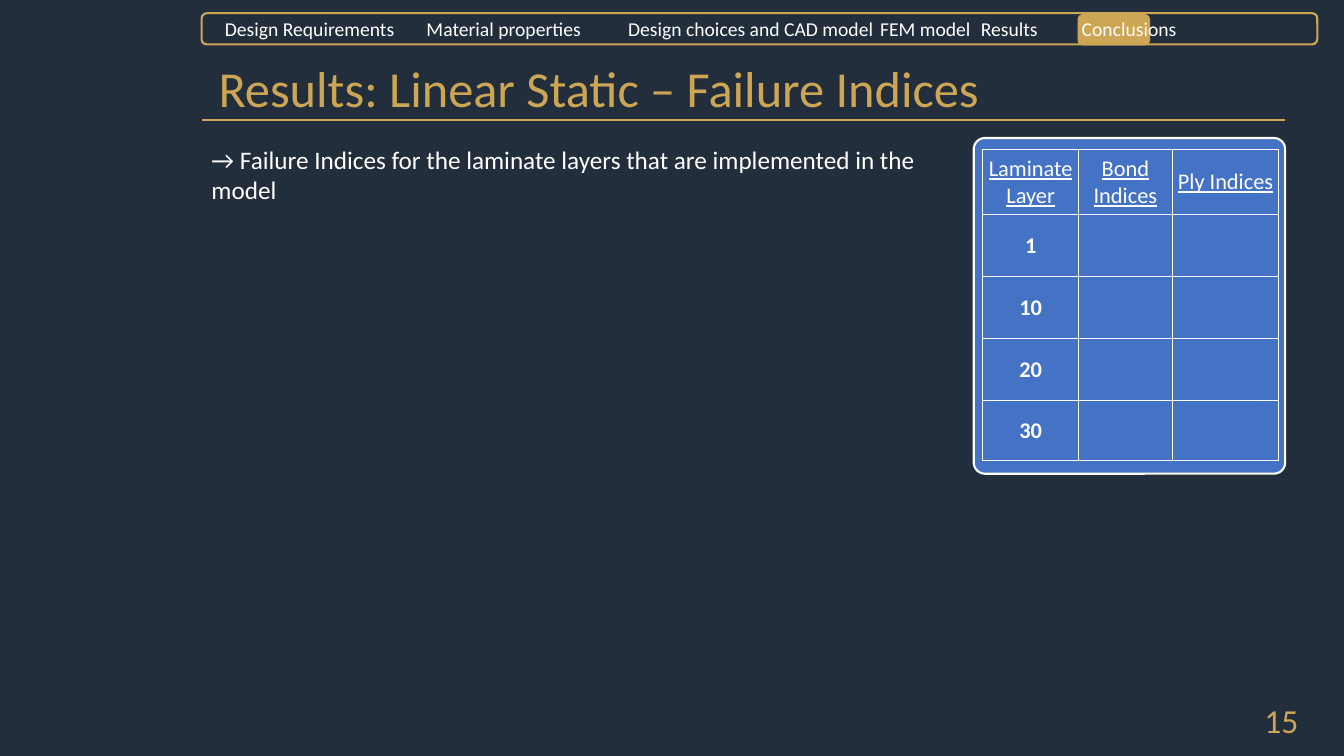
from lxml.etree import SubElement
from pptx import Presentation
from pptx.dml.color import RGBColor
from pptx.enum.shapes import MSO_CONNECTOR, MSO_SHAPE
from pptx.enum.text import MSO_ANCHOR, PP_ALIGN
from pptx.oxml.ns import qn
from pptx.util import Pt

NAVY, GOLD, BLUE, WHITE = "222E3C", "CDA655", "4472C4", "FFFFFF"

SECTIONS = ["Design Requirements", "Material properties",
            "Design choices and CAD model", "FEM model", "Results", "Conclusions"]
SECTION_TABS = [155.7, 300.7, 510, 612.9, 691.4]

HEADERS = ["Laminate Layer", "Bond Indices", "Ply Indices"]
LAYERS = ["1", "10", "20", "30"]
COLUMN_WIDTHS = [68.4, 66.9, 76.2]
ROW_HEIGHTS = [46.5, 44.3, 44.3, 44.3, 42.9]


def color(hex_string):
    return RGBColor.from_string(hex_string)


class SlideBuilder:
    font_name = "Calibri"

    def __init__(self, slide):
        self.slide = slide
        background = slide.background.fill
        background.solid()
        background.fore_color.rgb = color(NAVY)

    def set_text(self, frame, text, size, text_color, align=PP_ALIGN.LEFT,
                 bold=False, underline=False):
        frame.text = text
        paragraph = frame.paragraphs[0]
        paragraph.alignment = align
        for run in paragraph.runs:
            run.font.name = self.font_name
            run.font.size = Pt(size)
            run.font.color.rgb = color(text_color)
            run.font.bold = bold
            run.font.underline = underline

    def text(self, box, text, size, text_color, align=PP_ALIGN.LEFT):
        frame = self.slide.shapes.add_textbox(*map(Pt, box)).text_frame
        frame.word_wrap = True
        self.set_text(frame, text, size, text_color, align)

    def panel(self, box, fill=None, outline=None, corner=0.1667):
        """Add a rounded rectangle, hollow or borderless where no colour is given."""
        panel = self.slide.shapes.add_shape(MSO_SHAPE.ROUNDED_RECTANGLE, *map(Pt, box))
        panel.shadow.inherit = False
        panel.adjustments[0] = corner
        if fill:
            panel.fill.solid()
            panel.fill.fore_color.rgb = color(fill)
        else:
            panel.fill.background()
        if outline:
            panel.line.color.rgb = color(outline)
            panel.line.width = Pt(1.5)
        else:
            panel.line.fill.background()
        return panel

    def rule(self, left, right, y, line_color):
        rule = self.slide.shapes.add_connector(
            MSO_CONNECTOR.STRAIGHT, Pt(left), Pt(y), Pt(right), Pt(y))
        rule.line.color.rgb = color(line_color)
        rule.line.width = Pt(1.5)
        SubElement(rule._element.spPr, qn("a:effectLst"))

    def navigation(self, box, sections, tab_positions):
        frame = self.panel(box, outline=GOLD).text_frame
        frame.word_wrap = True
        frame.vertical_anchor = MSO_ANCHOR.MIDDLE
        frame.margin_left, frame.margin_right = Pt(15.6), Pt(0)
        tab_list = SubElement(frame.paragraphs[0]._p.get_or_add_pPr(), qn("a:tabLst"))
        for position in tab_positions:
            SubElement(tab_list, qn("a:tab"), pos=str(Pt(position)), algn="l")
        self.set_text(frame, "\t".join(sections), 14, WHITE)

    def border(self, cell, line_color):
        properties = cell._tc.get_or_add_tcPr()
        for side in ("lnL", "lnR", "lnT", "lnB"):
            line = SubElement(properties, qn(f"a:{side}"), w=str(Pt(1)))
            SubElement(SubElement(line, qn("a:solidFill")), qn("a:srgbClr"), val=line_color)

    def table(self, left, top, widths, heights, rows):
        table = self.slide.shapes.add_table(
            len(heights), len(widths), Pt(left), Pt(top),
            Pt(sum(widths)), Pt(sum(heights))).table
        table.first_row = table.horz_banding = False
        for column, width in zip(table.columns, widths):
            column.width = Pt(width)
        for index, (row, height, labels) in enumerate(zip(table.rows, heights, rows)):
            row.height = Pt(height)
            is_header = index == 0
            for cell, label in zip(row.cells, labels):
                self.border(cell, WHITE)
                cell.fill.background()
                cell.vertical_anchor = MSO_ANCHOR.MIDDLE
                cell.margin_left = cell.margin_right = cell.margin_top = Pt(0.72)
                cell.margin_bottom = Pt(0)
                self.set_text(cell.text_frame, label, 16, WHITE, PP_ALIGN.CENTER,
                              bold=not is_header, underline=is_header)


def main():
    presentation = Presentation()
    presentation.slide_width, presentation.slide_height = Pt(960), Pt(540)
    builder = SlideBuilder(presentation.slides.add_slide(presentation.slide_layouts[6]))

    builder.text((149, 37.4, 769.7, 51.1), "Results: Linear Static – Failure Indices", 36, GOLD)
    builder.rule(144, 918, 85.7, GOLD)
    builder.text((718.6, 496.1, 216, 28.8), "15", 24, GOLD, PP_ALIGN.RIGHT)
    builder.text((144, 99.4, 535, 51.1),
                 "→ Failure Indices for the laminate layers that are implemented in the model",
                 18, WHITE)

    builder.panel((769.7, 10.1, 51.8, 22.3), fill=GOLD)
    builder.navigation((144, 9.4, 797, 22.3), SECTIONS, SECTION_TABS)

    builder.panel((695.5, 98.6, 222.5, 239.8), fill=BLUE, outline=WHITE, corner=0.036)
    builder.table(702, 106.6, COLUMN_WIDTHS, ROW_HEIGHTS,
                  [HEADERS] + [[layer, "", ""] for layer in LAYERS])

    presentation.save("out.pptx")


if __name__ == "__main__":
    main()
